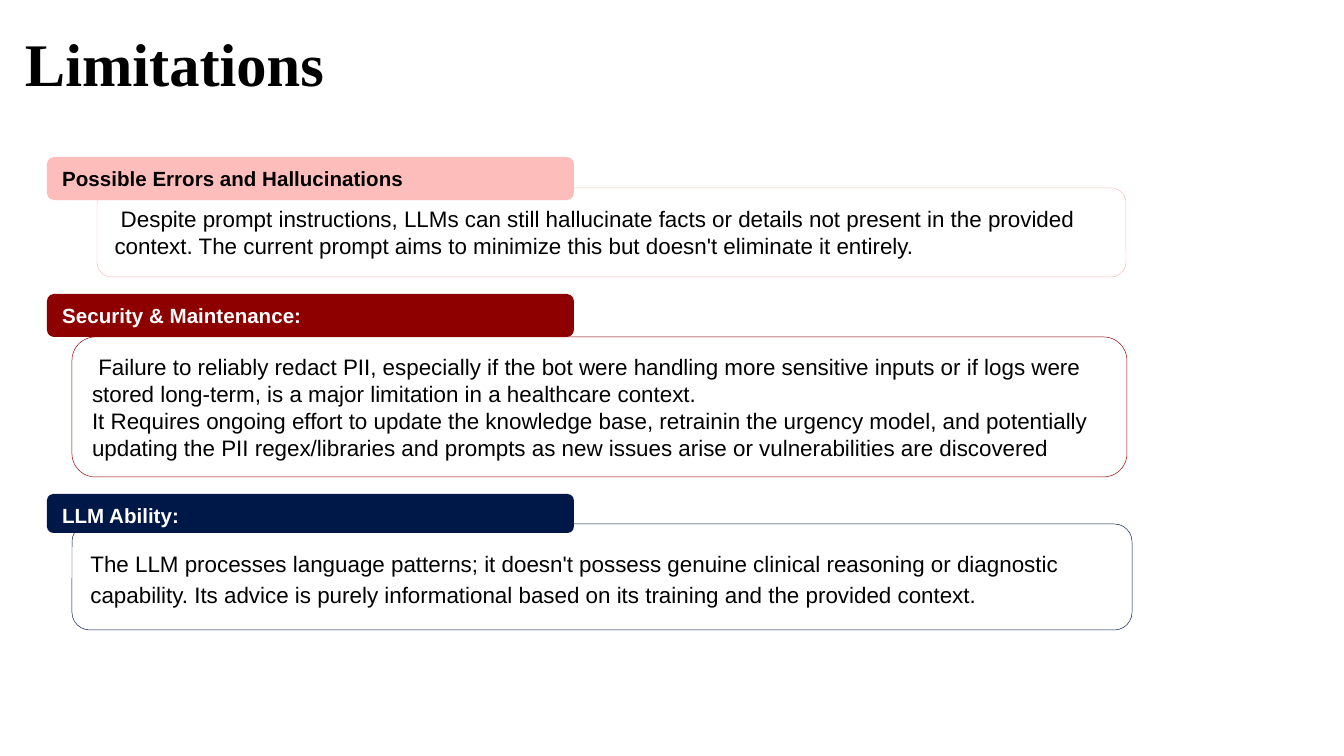
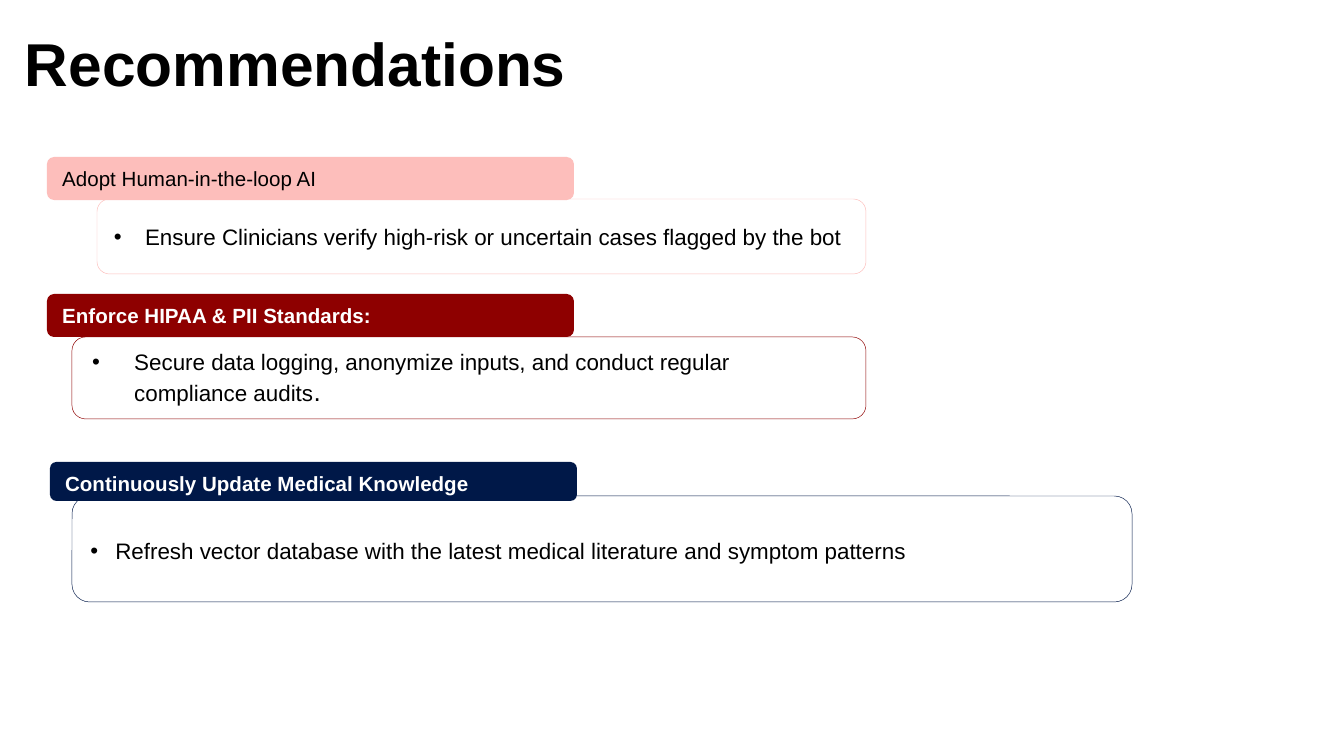
from lxml.etree import SubElement
from pptx import Presentation
from pptx.dml.color import RGBColor
from pptx.enum.shapes import MSO_SHAPE
from pptx.enum.text import MSO_ANCHOR, PP_ALIGN
from pptx.oxml.ns import qn
from pptx.util import Emu, Pt

PX = 914400 / 134.4
SLIDE_SIZE = (1344, 756)

BLACK = RGBColor(0x00, 0x00, 0x00)
WHITE = RGBColor(0xFF, 0xFF, 0xFF)
PINK = RGBColor(0xFD, 0xBE, 0xBB)
MAROON = RGBColor(0x8E, 0x00, 0x00)
NAVY = RGBColor(0x00, 0x18, 0x48)

SANS = "Arial"
SERIF = "Times New Roman"
TITLE_PT, HEADING_PT, BODY_PT, LARGE_PT = 32.4, 11, 12, 14
LOOSE = 1.15
HEADING_LEFT, HEADING_WIDTH = 47, 527


def px(*lengths):
    return [Emu(round(length * PX)) for length in lengths]


def add_bullet(paragraph, indent):
    properties = paragraph._p.get_or_add_pPr()
    offset = px(indent)[0]
    properties.set("marL", str(offset))
    properties.set("indent", str(-offset))
    colour = SubElement(properties, qn("a:buClr"))
    SubElement(colour, qn("a:srgbClr")).set("val", str(BLACK))
    SubElement(properties, qn("a:buFont")).set("typeface", SANS)
    SubElement(properties, qn("a:buChar")).set("char", "•")


def write(frame, paragraphs, size, colour=BLACK, font=SANS, bold=False,
          spacing=None, indent=0, anchor=MSO_ANCHOR.MIDDLE):
    """Each paragraph is a list of (text, overrides) runs."""
    frame.word_wrap = True
    frame.vertical_anchor = anchor
    for index, runs in enumerate(paragraphs):
        paragraph = frame.paragraphs[0] if index == 0 else frame.add_paragraph()
        paragraph.alignment = PP_ALIGN.LEFT
        if spacing:
            paragraph.line_spacing = spacing
        if indent:
            add_bullet(paragraph, indent)
        for text, overrides in runs:
            run = paragraph.add_run()
            run.text = text
            run.font.name = font
            run.font.size = Pt(overrides.get("size", size))
            run.font.bold = overrides.get("bold", bold)
            run.font.color.rgb = colour


def plain(text):
    return [(text, {})]


def add_title(slide, text, font):
    title = slide.shapes.add_textbox(*px(12, 9, 1253, 106))
    frame = title.text_frame
    inset = px(13)[0]
    frame.margin_left = frame.margin_right = inset
    frame.margin_top = frame.margin_bottom = inset
    write(frame, [plain(text)], TITLE_PT, font=font, bold=True)


def add_rounded(slide, box):
    rounded = slide.shapes.add_shape(MSO_SHAPE.ROUNDED_RECTANGLE, *px(*box))
    rounded.shadow.inherit = False
    return rounded


def add_panel(slide, box, colour, paragraphs=(), **style):
    panel = add_rounded(slide, box)
    panel.fill.background()
    panel.line.color.rgb = colour
    panel.line.width = Pt(0.25)
    write(panel.text_frame, paragraphs, BODY_PT, **style)


def add_heading(slide, top, height, colour, text, left=HEADING_LEFT,
                text_colour=WHITE, bold=True, spacing=None):
    heading = add_rounded(slide, (left, top, HEADING_WIDTH, height))
    heading.fill.solid()
    heading.fill.fore_color.rgb = colour
    heading.line.fill.background()
    write(heading.text_frame, [plain(text)], HEADING_PT, text_colour,
          bold=bold, spacing=spacing)


def build_limitations(slide):
    add_title(slide, "Limitations", SERIF)

    # Errors and hallucinations
    add_panel(slide, (97, 188, 1029, 89), PINK, [plain(
        " Despite prompt instructions, LLMs can still hallucinate facts or "
        "details not present in the provided context. The current prompt aims "
        "to minimize this but doesn't eliminate it entirely.")])
    add_heading(slide, 157, 43, PINK, "Possible Errors and Hallucinations",
                text_colour=BLACK)

    # Security and maintenance
    add_panel(slide, (72, 337, 1055, 140), MAROON, [
        [(" ", {"bold": True}),
         ("Failure to reliably redact PII, especially if the bot were handling "
          "more sensitive inputs or if logs were stored long-term, is a major "
          "limitation in a healthcare context.", {})],
        plain("It Requires ongoing effort to update the knowledge base, "
              "retrainin the urgency model, and potentially updating the PII "
              "regex/libraries and prompts as new issues arise or "
              "vulnerabilities are discovered")])
    add_heading(slide, 294, 43, MAROON, "Security & Maintenance:")

    # Model ability
    add_panel(slide, (72, 524, 1060, 106), NAVY, [plain(
        "The LLM processes language patterns; it doesn't possess genuine "
        "clinical reasoning or diagnostic capability. Its advice is purely "
        "informational based on its training and the provided context.")],
        spacing=LOOSE)
    add_heading(slide, 494, 39, NAVY, "LLM Ability:", spacing=LOOSE)


def build_recommendations(slide):
    add_title(slide, "Recommendations", SANS)

    # Human in the loop
    add_panel(slide, (97, 199, 769, 75), PINK, [plain(
        " Ensure Clinicians verify high-risk or uncertain cases flagged by "
        "the bot")], indent=25)
    add_heading(slide, 157, 43, PINK, "Adopt Human-in-the-loop AI",
                text_colour=BLACK, bold=False)

    # Privacy standards
    add_panel(slide, (72, 337, 794, 82), MAROON)
    add_heading(slide, 294, 43, MAROON, "Enforce HIPAA & PII Standards:")
    audits = slide.shapes.add_textbox(*px(79, 342, 738, 72))
    write(audits.text_frame, [[
        ("Secure data logging, anonymize inputs, and conduct regular "
         "compliance audits", {}),
        (".", {"size": LARGE_PT})]], BODY_PT, indent=42, anchor=MSO_ANCHOR.TOP)

    # Medical knowledge
    add_panel(slide, (72, 496, 1060, 106), NAVY, [plain(
        "Refresh vector database with the latest medical literature and "
        "symptom patterns")], spacing=LOOSE, indent=25)
    add_heading(slide, 462, 39, NAVY, "Continuously Update Medical Knowledge",
                left=50, spacing=LOOSE)


def main():
    deck = Presentation()
    deck.slide_width, deck.slide_height = px(*SLIDE_SIZE)
    blank = deck.slide_layouts[6]
    for build in (build_limitations, build_recommendations):
        build(deck.slides.add_slide(blank))
    deck.save("out.pptx")


if __name__ == "__main__":
    main()
